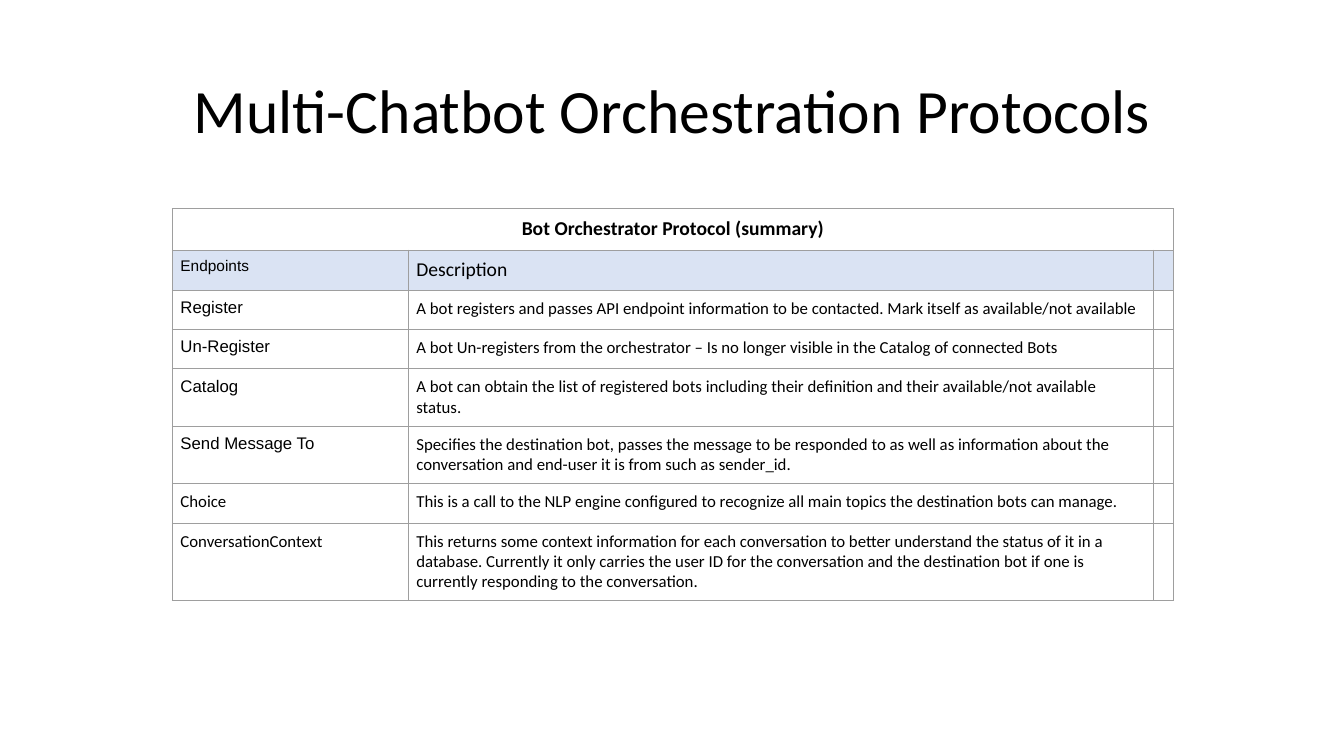
from lxml import etree
from pptx import Presentation
from pptx import util as u
from pptx.dml.color import RGBColor
from pptx.enum import text
from pptx.oxml import ns

PX = 9144
BLACK = RGBColor(0x00, 0x00, 0x00)
WHITE = RGBColor(0xFF, 0xFF, 0xFF)
HEADER_BLUE = RGBColor(0xDA, 0xE3, 0xF3)
GRID_GREY = RGBColor(0x9E, 0x9E, 0x9E)
CELL_INSET = 8
COLUMN_WIDTHS = [234, 739, 19]
ROW_HEIGHTS = [41, 40, 39, 39, 57, 57, 39, 77]

ENDPOINTS = [
    ("Register", "Arial",
     "A bot registers and passes API endpoint information to be contacted. "
     "Mark itself as available/not available"),
    ("Un-Register", "Arial",
     "A bot Un-registers from the orchestrator – Is no longer visible in the "
     "Catalog of connected Bots"),
    ("Catalog", "Arial",
     "A bot can obtain the list of registered bots including their definition "
     "and their available/not available status."),
    ("Send Message To", "Arial",
     "Specifies the destination bot, passes the message to be responded to as "
     "well as information about the conversation and end-user it is from such "
     "as sender_id."),
    ("Choice", "Calibri",
     "This is a call to the NLP engine configured to recognize all main topics "
     "the destination bots can manage."),
    ("ConversationContext", "Calibri",
     "This returns some context information for each conversation to better "
     "understand the status of it in a database. Currently it only carries the "
     "user ID for the conversation and the destination bot if one is currently "
     "responding to the conversation."),
]


def px(length):
    return u.Emu(length * PX)


def write(paragraph, words, size, font="Calibri", bold=False):
    run = paragraph.add_run()
    run.text = words
    run.font.size = u.Pt(size)
    run.font.name = font
    run.font.bold = bold
    run.font.color.rgb = BLACK


def draw_borders(cell):
    properties = cell._tc.get_or_add_tcPr()
    for position, side in enumerate(("lnL", "lnR", "lnT", "lnB")):
        border = etree.Element(ns.qn(f"a:{side}"), w=str(u.Pt(0.75)))
        fill = etree.SubElement(border, ns.qn("a:solidFill"))
        etree.SubElement(fill, ns.qn("a:srgbClr"), val=str(GRID_GREY))
        properties.insert(position, border)


def style_cell(cell, fill, inset):
    cell.fill.solid()
    cell.fill.fore_color.rgb = fill
    cell.margin_left = cell.margin_right = px(inset)
    cell.margin_top = cell.margin_bottom = px(inset)
    draw_borders(cell)


def add_title(slide, left, top, width, height):
    title = slide.shapes.add_textbox(px(left), px(top), px(width), px(height))
    frame = title.text_frame
    frame.word_wrap = True
    frame.vertical_anchor = text.MSO_ANCHOR.MIDDLE
    heading = frame.paragraphs[0]
    heading.alignment = text.PP_ALIGN.CENTER
    heading.line_spacing = 0.9
    write(heading, "Multi-Chatbot Orchestration Protocols", 44)


def add_protocol_table(slide, left, top):
    protocol = slide.shapes.add_table(
        len(ROW_HEIGHTS), len(COLUMN_WIDTHS), px(left), px(top),
        px(sum(COLUMN_WIDTHS)), px(sum(ROW_HEIGHTS))).table
    protocol.first_row = False
    protocol.horz_banding = False
    for column, width in zip(protocol.columns, COLUMN_WIDTHS):
        column.width = px(width)
    for index, (row, height) in enumerate(zip(protocol.rows, ROW_HEIGHTS)):
        row.height = px(height)
        for position, cell in enumerate(row.cells):
            style_cell(cell, HEADER_BLUE if index == 1 else WHITE,
                       CELL_INSET if position < 2 else 0)

    summary = protocol.cell(0, 0)
    summary.merge(protocol.cell(0, 2))
    caption = summary.text_frame.paragraphs[0]
    caption.alignment = text.PP_ALIGN.CENTER
    write(caption, "Bot Orchestrator Protocol (summary)", 14, bold=True)

    def fill_cell(row, column, words, size, font="Calibri"):
        paragraph = protocol.cell(row, column).text_frame.paragraphs[0]
        write(paragraph, words, size, font)

    fill_cell(1, 0, "Endpoints", 11, "Arial")
    fill_cell(1, 1, "Description", 14)
    for row, (endpoint, font, description) in enumerate(ENDPOINTS, start=2):
        fill_cell(row, 0, endpoint, 12, font)
        fill_cell(row, 1, description, 12)


def main():
    deck = Presentation()
    deck.slide_width, deck.slide_height = px(1333), px(750)
    slide = deck.slides.add_slide(deck.slide_layouts[6])
    add_title(slide, 92, 40, 1150, 145)
    add_protocol_table(slide, 171, 207)
    deck.save("out.pptx")


if __name__ == "__main__":
    main()
